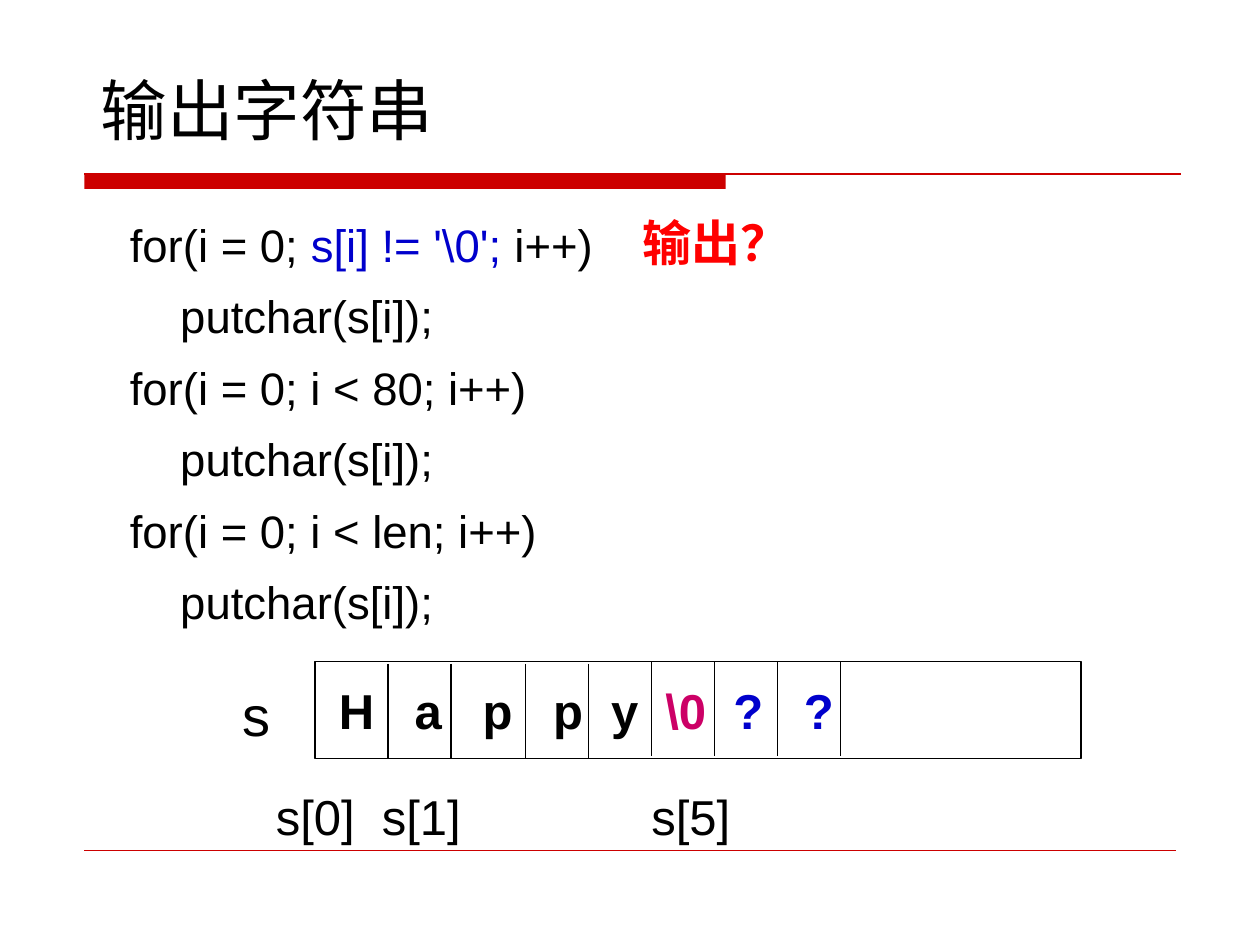
from collections import namedtuple
from dataclasses import dataclass

from lxml.etree import SubElement
from pptx import Presentation
from pptx.dml.color import RGBColor
from pptx.enum.shapes import MSO_CONNECTOR as Connector, MSO_SHAPE as Shape
from pptx.enum.text import MSO_ANCHOR as Anchor, MSO_AUTO_SIZE as AutoSize, PP_ALIGN as Align
from pptx.oxml.ns import qn
from pptx.util import Pt

EMU_PER_PX = 9144  # 100 px to the inch

Box = namedtuple("Box", "left top width height")


@dataclass(frozen=True)
class Theme:
    font: str = "Arial"
    ink: str = "000000"
    rule: str = "CC0000"
    condition: str = "0000CC"
    terminator: str = "CC0066"
    question: str = "FF0000"
    title_size: int = 38
    code_size: int = 26
    label_size: int = 28
    name_size: int = 32


THEME = Theme()


def px(length):
    return length * EMU_PER_PX


def emu(box):
    return [px(length) for length in box]


def inside(box, left, top, width, height):
    return Box(box.left + left, box.top + top, width, height)


def add_run(paragraph, text, size, color=THEME.ink, bold=False):
    run = paragraph.add_run()
    run.text = text
    run.font.name = THEME.font
    run.font.size = Pt(size)
    run.font.bold = bold
    run.font.color.rgb = RGBColor.from_string(color)


def add_line(slide, start, end, color, width):
    line = slide.shapes.add_connector(Connector.STRAIGHT, *emu(start + end))
    line.line.color.rgb = RGBColor.from_string(color)
    line.line.width = Pt(width)
    SubElement(line._element.spPr, qn("a:effectLst"))


def add_tab_stops(paragraph, stops):
    tab_list = SubElement(paragraph._p.get_or_add_pPr(), qn("a:tabLst"))
    for stop in stops:
        SubElement(tab_list, qn("a:tab"), pos=str(px(stop)), algn="l")


def add_text(slide, box, runs, size, bold=False, stops=(), inset=10, wrap=True):
    """Add one line of (text, color) runs, spread over the tab stops."""
    frame = slide.shapes.add_textbox(*emu(box)).text_frame
    frame.word_wrap = wrap
    frame.margin_left = px(inset)
    paragraph = frame.paragraphs[0]
    if stops:
        add_tab_stops(paragraph, stops)
    for text, color in runs:
        add_run(paragraph, text, size, color, bold)


def place(placeholder, box, anchor):
    placeholder.left, placeholder.top, placeholder.width, placeholder.height = emu(box)
    frame = placeholder.text_frame
    frame.auto_size = AutoSize.NONE
    frame.vertical_anchor = anchor
    return frame


def build_title(slide, box):
    paragraph = place(slide.shapes.title, box, Anchor.BOTTOM).paragraphs[0]
    paragraph.alignment = Align.LEFT
    add_run(paragraph, "输出字符串", THEME.title_size)


def build_title_rule(slide, box):
    bar = slide.shapes.add_shape(Shape.RECTANGLE, *emu(inside(box, 0, 0, 509, box.height)))
    bar.shadow.inherit = False
    bar.fill.solid()
    bar.fill.fore_color.rgb = RGBColor.from_string(THEME.rule)
    bar.line.fill.background()
    add_line(slide, (box.left, box.top), (box.left + box.width, box.top), THEME.rule, 0.75)


def build_code(slide, box):
    body = "    putchar(s[i]);"
    lines = [
        [("for(i = 0; ", THEME.ink), ("s[i] != '\\0'; ", THEME.condition), ("i++)", THEME.ink)],
        [(body, THEME.ink)],
        [("for(i = 0; i < 80; i++)", THEME.ink)],
        [(body, THEME.ink)],
        [("for(i = 0; i < len; i++)", THEME.ink)],
        [(body, THEME.ink)],
    ]
    frame = place(slide.placeholders[1], box, Anchor.TOP)
    for index, line in enumerate(lines):
        paragraph = frame.add_paragraph() if index else frame.paragraphs[0]
        paragraph.line_spacing = 1.1
        paragraph.space_before = Pt(6.5 if index else 0)
        properties = paragraph._p.get_or_add_pPr()
        properties.set("marL", str(px(99)))
        properties.set("indent", str(px(-48)))
        SubElement(properties, qn("a:buNone"))
        for text, color in line:
            add_run(paragraph, text, THEME.code_size, color)


def build_array(slide, box):
    """Draw the array s: its name, the row of cells and the index labels."""
    row = inside(box, 67, 0, 608, 77)
    frame = slide.shapes.add_shape(Shape.RECTANGLE, *emu(row))
    frame.shadow.inherit = False
    frame.fill.background()
    frame.line.color.rgb = RGBColor.from_string(THEME.ink)
    frame.line.width = Pt(1)

    for index, offset in enumerate((58, 108, 167, 217, 267, 317, 367, 417)):
        x = row.left + offset
        top = row.top + (2 if index < 4 else 0)
        add_line(slide, (x, top), (x, top + 75), THEME.ink, 1)

    add_text(slide, inside(box, 0, 10, 58, 63), [("s", THEME.ink)], THEME.name_size)
    cells = [("H\ta\tp\tp\ty\t", THEME.ink), ("\\0\t", THEME.terminator),
             ("?\t?", THEME.condition)]
    add_text(slide, inside(row, 0, 10, 492, 56), cells, THEME.label_size, bold=True,
             stops=(60, 114, 170, 216, 259, 313, 369), inset=19)
    add_text(slide, inside(box, 17, 94, 392, 56), [("s[0]\ts[1]\ts[5]", THEME.ink)],
             THEME.label_size, stops=(84, 298), inset=19)


def main():
    presentation = Presentation()
    presentation.slide_width, presentation.slide_height = px(1000), px(750)
    slide = presentation.slides.add_slide(presentation.slide_layouts[1])

    build_title_rule(slide, Box(67, 138, 870, 12))
    add_line(slide, (67, 675), (933, 675), THEME.rule, 0.25)
    build_title(slide, Box(70, 31, 450, 92))
    build_code(slide, Box(42, 163, 492, 392))
    build_array(slide, Box(183, 525, 675, 150))
    add_text(slide, Box(500, 164, 137, 57), [("输出？", THEME.question)],
             THEME.label_size, bold=True, wrap=False)

    presentation.save("out.pptx")


if __name__ == "__main__":
    main()
